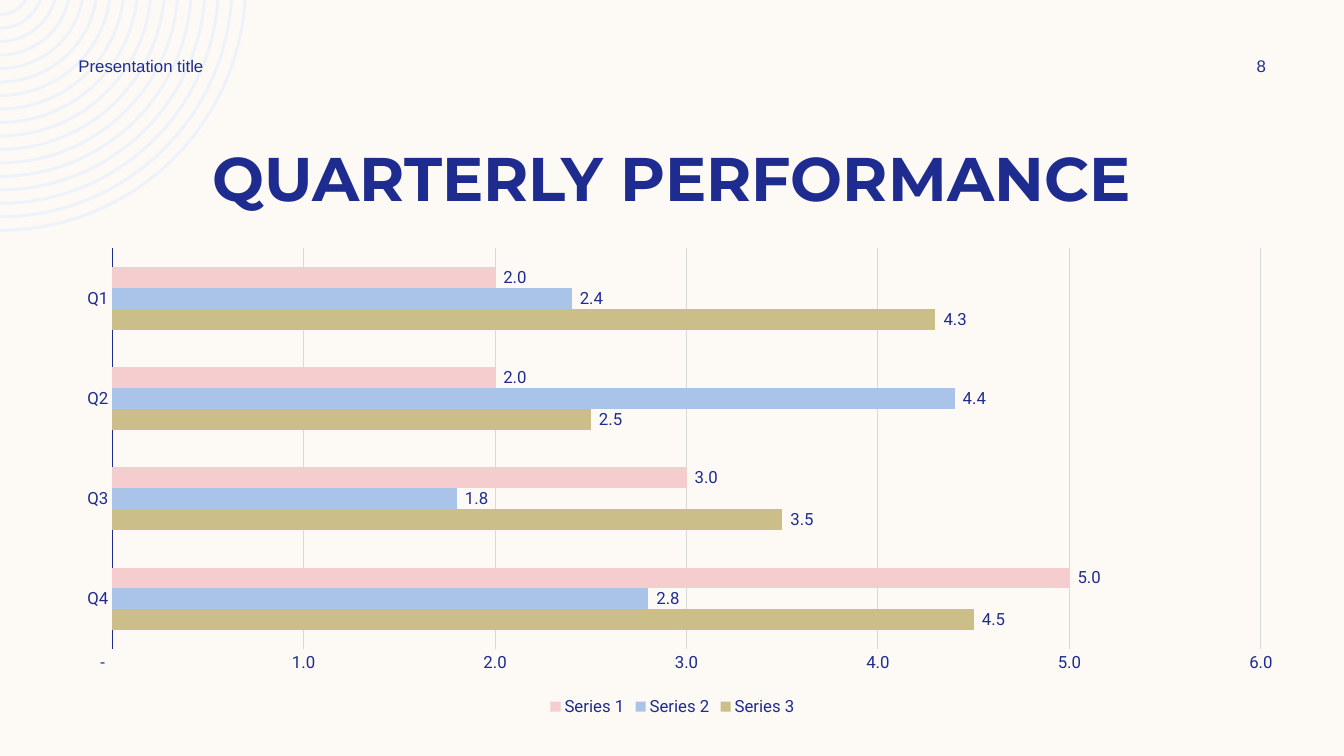
"""Build the quarterly performance slide with a clustered bar chart."""
from math import asin, cos, pi, sin, tan

from lxml.etree import Element, SubElement
from pptx import Presentation
from pptx.chart.data import CategoryChartData
from pptx.dml.color import RGBColor
from pptx.enum.chart import XL_CHART_TYPE, XL_LABEL_POSITION, XL_LEGEND_POSITION, XL_TICK_MARK
from pptx.enum.text import MSO_ANCHOR, MSO_AUTO_SIZE, PP_ALIGN
from pptx.oxml.ns import qn
from pptx.util import Inches, Pt

COLORS = {"paper": "FDFAF6", "ink": "1F2C8F", "rings": "EEF3FA", "grid": "D9D9D9",
          "Series 1": "F5CDCE", "Series 2": "AAC3E8", "Series 3": "CCBE89"}
TITLE = "QUARTERLY PERFORMANCE"
TITLE_BOX = (0.83, 1.33, 11.67, 0.84)
CAPTIONS = [("Presentation title", (0.68, 0.5, 3.5, 0.3), PP_ALIGN.LEFT),
            ("8", (11.97, 0.5, 1.08, 0.3), PP_ALIGN.CENTER)]
QUARTERS = ["Q4", "Q3", "Q2", "Q1"]
SERIES = {"Series 3": (4.5, 3.5, 2.5, 4.3),
          "Series 2": (2.8, 1.8, 4.4, 2.4),
          "Series 1": (5, 3, 2, 2)}
CHART_BOX = (0.59, 2.3, 12.16, 4.85)
PLOT_SHARES = {"x": 0.043, "y": 0.034, "w": 0.937, "h": 0.819}
NUMBER_FORMAT = r'_(* #,##0.0_);_(* \(#,##0.0\);_(* "-"??_);_(@_)'
RINGS = {"count": 17, "radius": 2.45, "bottom": 2.3, "last_bottom": 0.16, "thickness": 0.03}


def color(name):
    return RGBColor.from_string(COLORS[name])


def apply(target, values):
    for name, value in values.items():
        setattr(target, name, value)


def style_font(font, face="Roboto", size=12, bold=False):
    apply(font, {"name": face, "size": Pt(size), "bold": bold})
    font.color.rgb = color("ink")


def fill_text(box, text, align, **style):
    apply(box.text_frame, {"word_wrap": True, "auto_size": MSO_AUTO_SIZE.NONE,
                           "vertical_anchor": MSO_ANCHOR.MIDDLE})
    para = box.text_frame.paragraphs[0]
    para.alignment = align
    span = para.add_run()
    span.text = text
    style_font(span.font, **style)


def arc(radius, center_y):
    """Return the four Bezier points from the slide's top edge to its left edge."""
    start = asin(-center_y / radius)
    reach = radius * 4 / 3 * tan((pi / 2 - start) / 4)
    x, y = radius * cos(start), center_y + radius * sin(start)
    bottom = center_y + radius
    points = [(x, y), (x - reach * sin(start), y + reach * cos(start)),
              (reach, bottom), (0, bottom)]
    return [(Inches(across), Inches(down)) for across, down in points]


def curve_sides(rings):
    """Turn the two long sides of every ring into Bezier curves."""
    lines = list(rings._element.iter(qn("a:lnTo")))
    for ring_start in range(0, len(lines), 7):
        for first in (ring_start, ring_start + 4):
            curve = Element(qn("a:cubicBezTo"))
            lines[first].addprevious(curve)
            for line in lines[first:first + 3]:
                curve.append(line[0])
                line.getparent().remove(line)


def add_rings(page):
    center_y = RINGS["bottom"] - RINGS["radius"]
    pitch = (RINGS["bottom"] - RINGS["last_bottom"]) / (RINGS["count"] - 1)
    builder = None
    for index in range(RINGS["count"]):
        radius = RINGS["radius"] - index * pitch
        outline = arc(radius, center_y) + arc(radius - RINGS["thickness"], center_y)[::-1]
        if builder is None:
            builder = page.shapes.build_freeform(*outline[0])
        else:
            builder.move_to(*outline[0])
        builder.add_line_segments(outline[1:], close=True)
    rings = builder.convert_to_shape()
    curve_sides(rings)
    rings.shadow.inherit = False
    rings.fill.solid()
    rings.fill.fore_color.rgb = color("rings")
    rings.line.fill.background()


def place_plot(chart):
    plot_area = chart.plots[0]._element.getparent()
    layout = plot_area.find(qn("c:layout"))
    if layout is None:
        layout = SubElement(plot_area, qn("c:layout"))
        plot_area.insert(0, layout)
    manual = SubElement(layout, qn("c:manualLayout"))
    settings = {"layoutTarget": "inner", "xMode": "edge", "yMode": "edge", **PLOT_SHARES}
    for tag, value in settings.items():
        SubElement(manual, qn(f"c:{tag}")).set("val", str(value))


def add_bars(page):
    data = CategoryChartData(number_format=NUMBER_FORMAT)
    data.categories = QUARTERS
    for name, values in SERIES.items():
        data.add_series(name, values)
    chart = page.shapes.add_chart(XL_CHART_TYPE.BAR_CLUSTERED,
                                  *map(Inches, CHART_BOX), data).chart
    apply(chart, {"has_title": False, "has_legend": True})
    style_font(chart.font)
    apply(chart.legend, {"position": XL_LEGEND_POSITION.BOTTOM, "include_in_layout": False})
    style_font(chart.legend.font)
    place_plot(chart)

    plot = chart.plots[0]
    apply(plot, {"gap_width": 182, "overlap": 0, "vary_by_categories": False})
    for series in plot.series:
        series.format.fill.solid()
        series.format.fill.fore_color.rgb = color(series.name)
        labels = series.data_labels
        apply(labels, {"show_value": True, "position": XL_LABEL_POSITION.OUTSIDE_END,
                       "number_format": NUMBER_FORMAT, "number_format_is_linked": False})
        style_font(labels.font)

    categories, values = chart.category_axis, chart.value_axis
    for axis in (categories, values):
        apply(axis, {"major_tick_mark": XL_TICK_MARK.NONE, "minor_tick_mark": XL_TICK_MARK.NONE})
        style_font(axis.tick_labels.font)
    apply(values, {"minimum_scale": 0, "maximum_scale": 6, "major_unit": 1,
                   "has_major_gridlines": True})
    apply(values.tick_labels, {"number_format": NUMBER_FORMAT, "number_format_is_linked": False})
    values.format.line.fill.background()
    for line, name in ((categories.format.line, "ink"),
                       (values.major_gridlines.format.line, "grid")):
        line.color.rgb = color(name)
        line.width = Pt(0.75)


def main():
    deck = Presentation()
    apply(deck, {"slide_width": Inches(13.33), "slide_height": Inches(7.5)})
    page = deck.slides.add_slide(deck.slide_layouts[5])
    page.background.fill.solid()
    page.background.fill.fore_color.rgb = color("paper")
    add_rings(page)
    title = page.shapes.title
    apply(title, dict(zip(("left", "top", "width", "height"), map(Inches, TITLE_BOX))))
    fill_text(title, TITLE, PP_ALIGN.CENTER, face="Montserrat", size=44, bold=True)
    add_bars(page)
    for text, box, align in CAPTIONS:
        fill_text(page.shapes.add_textbox(*map(Inches, box)), text, align, face="Arial")
    deck.save("out.pptx")


if __name__ == "__main__":
    main()
